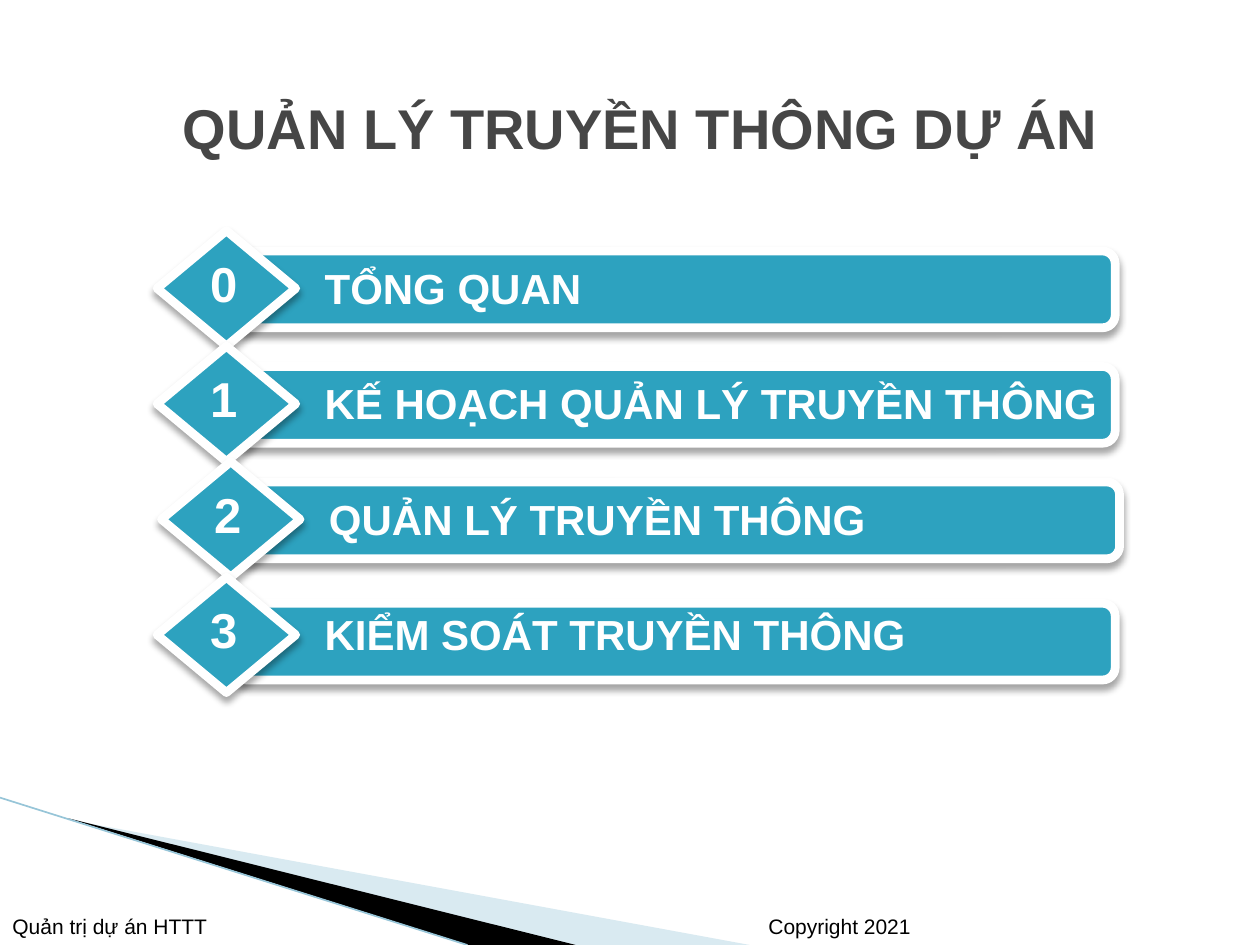
import pptx
import pptx.util
import pptx.dml.color
import pptx.enum.shapes
import pptx.enum.text
import pptx.oxml
import pptx.oxml.ns

Pt = pptx.util.Pt
RGBColor = pptx.dml.color.RGBColor
MSO_SHAPE = pptx.enum.shapes.MSO_SHAPE
PP_ALIGN = pptx.enum.text.PP_ALIGN
MSO_ANCHOR = pptx.enum.text.MSO_ANCHOR

TEAL = RGBColor(0x2D, 0xA2, 0xBF)
PALE_BLUE = RGBColor(0xA0, 0xCB, 0xDC)
LINE_BLUE = RGBColor(0x97, 0xC5, 0xD8)
GREY = RGBColor(0x46, 0x46, 0x46)
WHITE = RGBColor(0xFF, 0xFF, 0xFF)
BLACK = RGBColor(0, 0, 0)

NS = pptx.oxml.ns.nsdecls("a")
SHADOW = (f'<a:effectLst {NS}><a:outerShdw blurRad="{Pt(4)}" dist="{Pt(3)}" dir="5400000" '
          'rotWithShape="0"><a:srgbClr val="000000"><a:alpha val="35000"/></a:srgbClr>'
          '</a:outerShdw></a:effectLst>')


def write(shape, text, size, color, bold=True, align=PP_ALIGN.LEFT,
          anchor=MSO_ANCHOR.TOP, wrap=True):
    frame = shape.text_frame
    frame.word_wrap = wrap
    frame.vertical_anchor = anchor
    paragraph = frame.paragraphs[0]
    paragraph.alignment = align
    run = paragraph.add_run()
    run.text = text
    run.font.name = "Arial"
    run.font.size = Pt(size)
    run.font.bold = bold
    run.font.color.rgb = color


def add_panel(shapes, kind, left, top, width, height):
    panel = shapes.add_shape(kind, Pt(left), Pt(top), Pt(width), Pt(height))
    panel.fill.solid()
    panel.fill.fore_color.rgb = TEAL
    panel.line.color.rgb = WHITE
    panel.line.width = Pt(5)
    panel._element.spPr.append(pptx.oxml.parse_xml(SHADOW))


deck = pptx.Presentation()
deck.slide_width = Pt(720)
deck.slide_height = Pt(540)
slide = deck.slides.add_slide(deck.slide_layouts[5])

# Corner decoration
wedges = [
    (PALE_BLUE, 40, [(39.6, 468.5), (428.4, 540), (328.3, 540)]),
    (BLACK, 100, [(38.5, 467.5), (329, 540), (267.8, 540)]),
]
for color, opacity, corners in wedges:
    points = [(Pt(x), Pt(y)) for x, y in corners]
    outline = slide.shapes.build_freeform(*points[0])
    outline.add_line_segments(points[1:])
    wedge = outline.convert_to_shape()
    wedge.shadow.inherit = False
    wedge.fill.solid()
    wedge.fill.fore_color.rgb = color
    wedge.line.fill.background()
    if opacity < 100:
        fill_color = wedge._element.spPr.find(".//" + pptx.oxml.ns.qn("a:srgbClr"))
        fill_color.append(pptx.oxml.parse_xml(f'<a:alpha {NS} val="{opacity * 1000}"/>'))

edge = slide.shapes.add_connector(pptx.enum.shapes.MSO_CONNECTOR.STRAIGHT,
                                  Pt(0), Pt(455.8), Pt(267.1), Pt(540))
edge.line.color.rgb = LINE_BLUE
edge.line.width = Pt(0.95)
edge._element.spPr.append(pptx.oxml.parse_xml(f"<a:effectLst {NS}/>"))

# Title
title = slide.shapes.title
title.left, title.top, title.width, title.height = Pt(60), Pt(37.5), Pt(612), Pt(70.5)
write(title, "QUẢN LÝ TRUYỀN THÔNG DỰ ÁN", 32, GREY,
      align=PP_ALIGN.CENTER, anchor=MSO_ANCHOR.MIDDLE)

# Agenda: heading, shift right, extra drop of the bar, heading width
agenda = [
    ("TỔNG QUAN", 0, 0, 447),
    ("KẾ HOẠCH QUẢN LÝ TRUYỀN THÔNG", 0, 0, 530),
    ("QUẢN LÝ TRUYỀN THÔNG", 2.5, 0, 485),
    ("KIỂM SOÁT TRUYỀN THÔNG", 0, 3.3, 512),
]
for number, (heading, shift, drop, width) in enumerate(agenda):
    left = 89.8 + shift
    top = 131.8 + 66 * number
    row = slide.shapes.add_group_shape().shapes
    add_panel(row, MSO_SHAPE.ROUNDED_RECTANGLE, left + 44.2, top + 11.6 + drop, 503.3, 43.9)
    add_panel(row, MSO_SHAPE.DIAMOND, left, top, 79.2, 66)
    heading_box = row.add_textbox(Pt(left + 88.6), Pt(top + 14.6), Pt(width), Pt(36.5))
    write(heading_box, heading, 24, WHITE)
    number_box = row.add_textbox(Pt(left + 23), Pt(top + 9.4), Pt(30.2), Pt(50))
    write(number_box, str(number), 28, WHITE, align=PP_ALIGN.CENTER, wrap=False)

# Footer
for text, left, width in [("Quản trị dự án HTTT", 0, 204), ("Copyright 2021", 432, 126)]:
    footer = slide.shapes.add_textbox(Pt(left), Pt(511.2), Pt(width), Pt(28.8))
    write(footer, text, 12, BLACK, bold=False, anchor=MSO_ANCHOR.BOTTOM)

deck.save("out.pptx")
